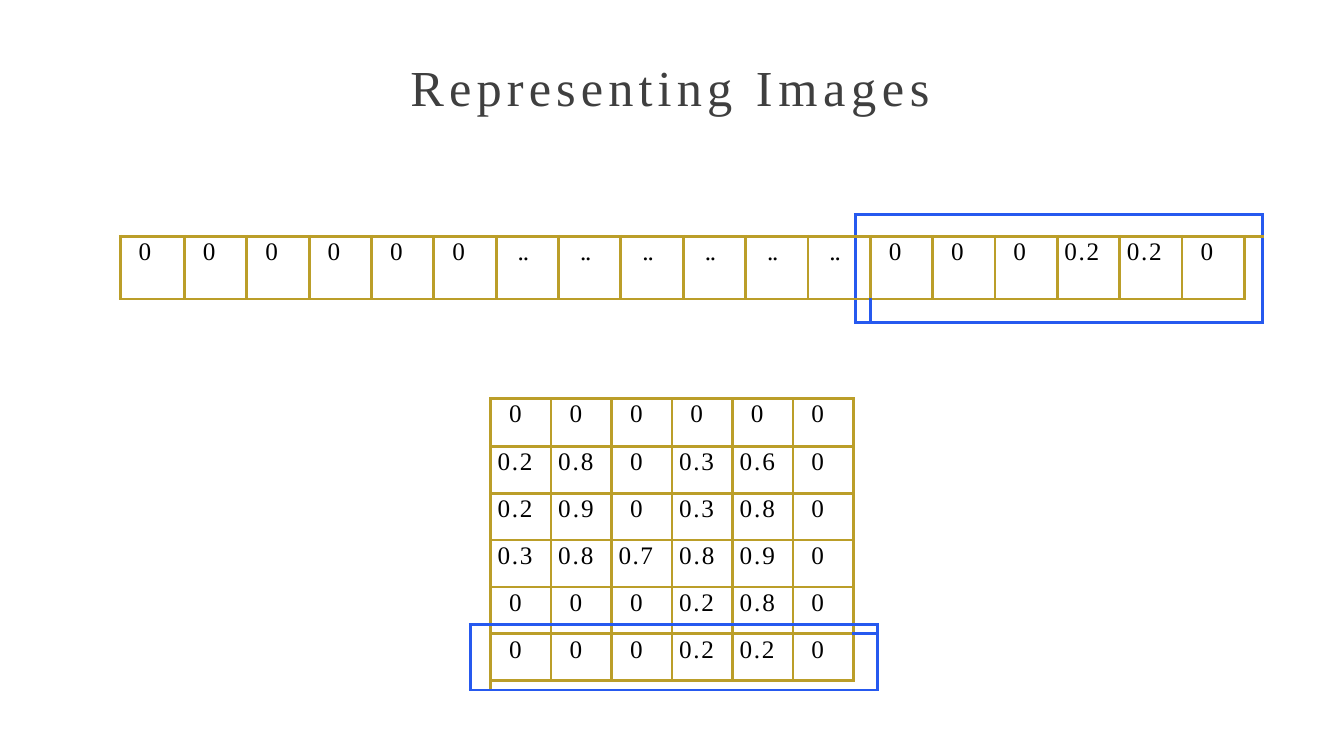
from lxml import etree
from pptx import Presentation
from pptx import util as u
from pptx.dml.color import RGBColor
from pptx.enum import text
from pptx.oxml.ns import qn

PX = 4572  # EMU per px, 200 px to the inch
FONT = "Times New Roman"
COLORS = {"title": "3F3F3F", "text": "000000", "G": "BB9E29", "B": "2659EF"}
NO_STYLE = "{2D5ABB26-0587-4C30-8999-92F81FD0307C}"

# Letter spacing (1/100 pt) and left indent (px) of each cell value
SPACING = {"0": 220, "..": -110, "0.2": 160, "0.3": 160, "0.6": 190,
           "0.7": 140, "0.8": 180, "0.9": 190}
INDENT = {1: 49, 2: 57, 3: 19}  # by length of the value

# Borders are given per cell as left, right, top, bottom: G gold, B blue, - none
VECTOR = ["0"] * 6 + [".."] * 6 + [""] + "0 0 0 0.2 0.2 0".split() + [""]
VECTOR_BORDERS = [
    ["-B-G"] + [""] * 11 + ["BBBG"] + [""] * 7,
    ["GGGG"] * 11 + ["GBGG", "BGGG"] + ["GGGG"] * 6 + ["GB--"],
    ["--G-"] * 11 + ["-BG-", "B-GB"] + ["--GB"] * 6 + ["-B-B"],
]
MATRIX = {  # table row: values
    0: "0 0 0 0 0 0",
    1: "0.2 0.8 0 0.3 0.6 0",
    2: "0.2 0.9 0 0.3 0.8 0",
    3: "0.3 0.8 0.7 0.8 0.9 0",
    4: "0 0 0 0.2 0.8 0",
    6: "0 0 0 0.2 0.2 0",
}
MATRIX_EDGES = [  # first, middle and last column of each row
    ("-G-B", "GGGG", "G---"),
    *[("", "GGGG", "G---")] * 3,
    ("", "GGGB", "G--B"),
    ("BGBB", "GGBG", "GBB-"),
    ("", "GGGG", "GB--"),
    ("", "--GB", "-B-B"),
]


def px(n):
    return u.Emu(n * PX)


def format_run(r, size, color, spacing):
    r.font.size = u.Pt(size)
    r.font.name = FONT
    r.font.color.rgb = RGBColor.from_string(COLORS[color])
    r._r.get_or_add_rPr().set("spc", str(spacing))


def add_title(s, box, parts):
    sp = s.shapes.title
    sp.left, sp.top, sp.width, sp.height = map(px, box)
    tf = sp.text_frame
    tf.margin_left = tf.margin_right = tf.margin_top = tf.margin_bottom = 0
    tf.vertical_anchor = text.MSO_ANCHOR.TOP
    tf.auto_size = text.MSO_AUTO_SIZE.SHAPE_TO_FIT_TEXT
    p = tf.paragraphs[0]
    p.alignment = text.PP_ALIGN.LEFT
    p.line_spacing = 1.01
    for words, spacing in parts:
        r = p.add_run()
        r.text = words
        format_run(r, 48, "title", spacing)


def set_borders(cell, codes):
    tcPr = cell._tc.get_or_add_tcPr()
    for side, code in zip("LRTB", codes):
        if code != "-":
            ln = etree.SubElement(tcPr, qn("a:ln" + side), w=str(u.Pt(3)))
            fill = etree.SubElement(ln, qn("a:solidFill"))
            etree.SubElement(fill, qn("a:srgbClr"), val=COLORS[code])


def fill_cell(cell, value, space_before):
    p = cell.text_frame.paragraphs[0]
    if not value:
        # Small type lets the narrow rows keep their height
        p._p.get_or_add_endParaRPr().set("sz", "400")
        return
    p.text = value
    p.line_spacing = 1.07
    p.space_before = u.Pt(space_before)
    p._p.get_or_add_pPr().set("marL", str(px(INDENT[len(value)])))
    format_run(p.runs[0], 24, "text", SPACING[value])


def add_grid(s, left, top, cols, rows, values, borders, spaces, merges):
    frame = s.shapes.add_table(len(rows), len(cols), px(left), px(top),
                               px(sum(cols)), px(sum(rows)))
    tbl = frame.table
    tbl.first_row = tbl.horz_banding = False
    tbl._tbl.tblPr.find(qn("a:tableStyleId")).text = NO_STYLE
    for col, width in zip(tbl.columns, cols):
        col.width = px(width)
    for i, height in enumerate(rows):
        tbl.rows[i].height = px(height)
        for j in range(len(cols)):
            cell = tbl.cell(i, j)
            cell.margin_left = cell.margin_right = 0
            cell.margin_top = cell.margin_bottom = 0
            set_borders(cell, borders[i][j])
            cell.fill.background()
            fill_cell(cell, values[i][j], spaces[i])
    for first, last in merges:
        tbl.cell(*first).merge(tbl.cell(*last))


def main():
    prs = Presentation()
    prs.slide_width, prs.slide_height = px(3556), px(2000)
    s = prs.slides.add_slide(prs.slide_layouts[5])

    add_title(s, (1086, 146, 1410, 162),
              [("Representing ", 490), ("Images", 540)])

    # Flattened image, its last row framed in blue
    blank = [""] * 20
    add_grid(s, 318, 568, [170] + [165] * 10 + [125, 40] + [165] * 6 + [48],
             [57, 166, 63], [blank, VECTOR, blank], VECTOR_BORDERS,
             [0, 11.7, 0], [((0, 0), (0, 11)), ((0, 12), (0, 19))])

    # Pixel matrix, its last row framed in blue
    values = [["", *MATRIX[i].split(), ""] if i in MATRIX else [""] * 8
              for i in range(8)]
    borders = [[first] + [middle] * 6 + [last]
               for first, middle, last in MATRIX_EDGES]
    add_grid(s, 1244, 1054, [54] + [160] * 6 + [63],
             [127, 124, 124, 124, 100, 24, 124, 25], values, borders,
             [6.2, 2.3, 2.8, 2.2, 2.8, 0, 2.2, 0],
             [((0, 0), (4, 0)), ((5, 0), (7, 0))])

    prs.save("out.pptx")


if __name__ == "__main__":
    main()
